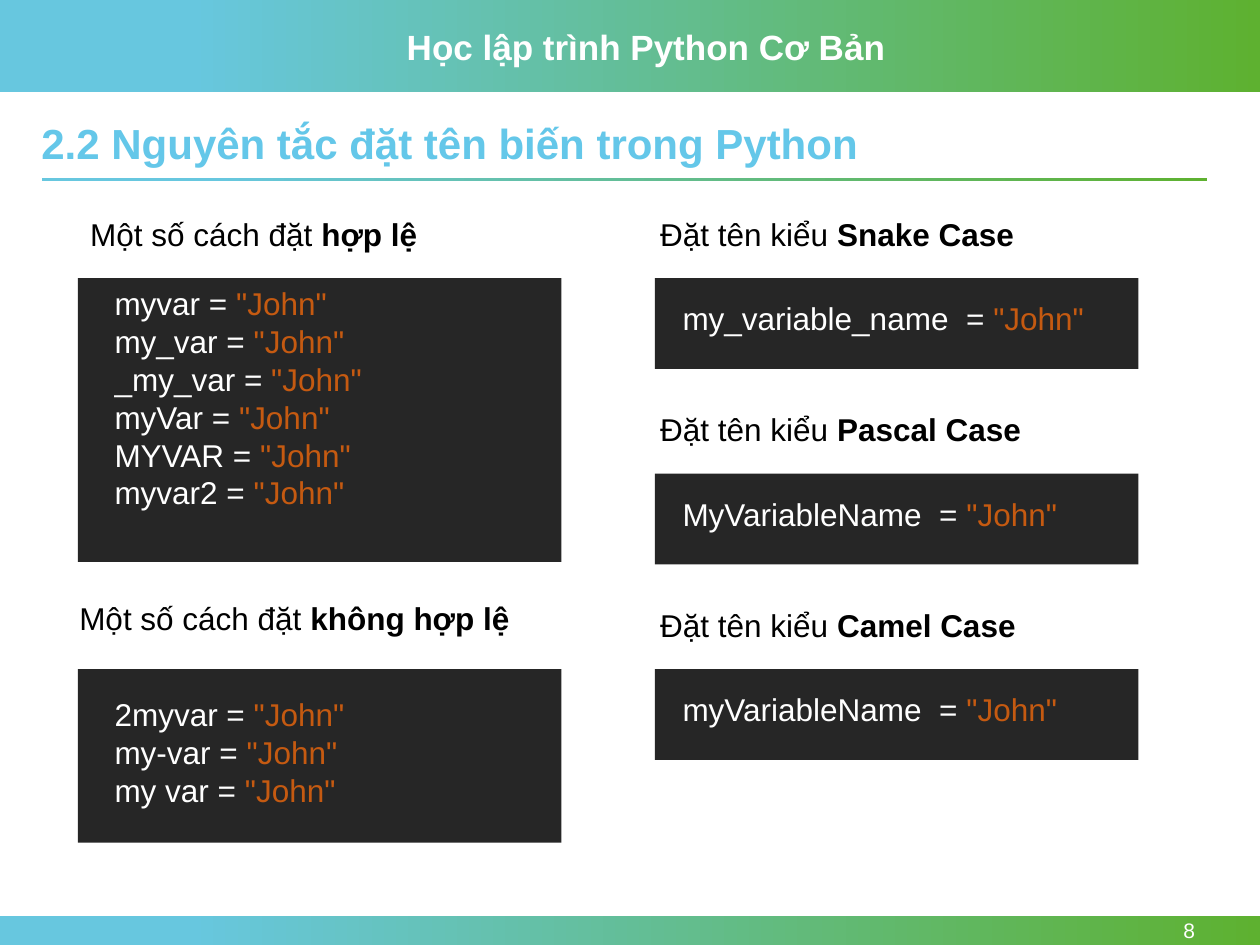
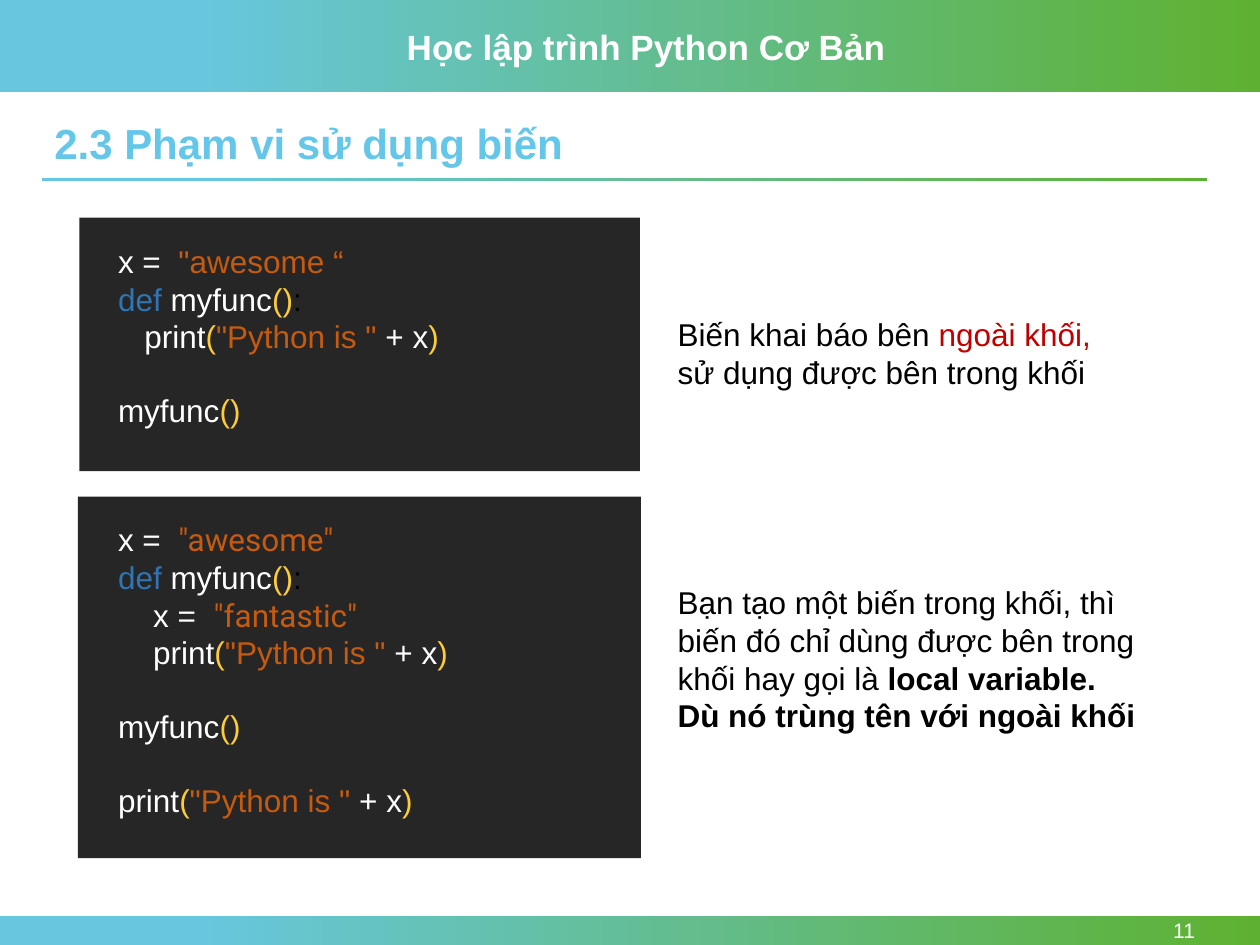
from typing import NamedTuple

from pptx import Presentation
from pptx.dml.color import RGBColor
from pptx.enum.shapes import MSO_SHAPE
from pptx.enum.text import MSO_ANCHOR, MSO_AUTO_SIZE, PP_ALIGN
from pptx.util import Cm, Pt

RECTANGLE = MSO_SHAPE.RECTANGLE
TOP, MIDDLE = MSO_ANCHOR.TOP, MSO_ANCHOR.MIDDLE
LEFT, RIGHT = PP_ALIGN.LEFT, PP_ALIGN.RIGHT
FIT_SHAPE, NO_FIT = MSO_AUTO_SIZE.SHAPE_TO_FIT_TEXT, MSO_AUTO_SIZE.NONE

COLORS = {
    "white": "FFFFFF", "black": "000000", "title": "64C7E9",
    "band_start": "67C7DF", "band_end": "5EB130", "code_box": "262626",
    "string": "C55A11", "keyword": "2E75B6", "bracket": "FECC36", "red": "C00000",
}
RUN_STYLES = {
    "string": {"color": "string"},
    "roboto": {"color": "string", "font": "Roboto"},
    "keyword": {"color": "keyword"},
    "bracket": {"color": "bracket"},
    "colon": {"color": "black"},
    "red": {"color": "red"},
    "bold": {"bold": True},
}
TITLE_ONLY = 5
SLIDE_WIDTH, SLIDE_HEIGHT = 25.4, 19.05
HEADER_HEIGHT, FOOTER_HEIGHT = 1.85, 0.58
CONTENT_LEFT, CONTENT_WIDTH = 0.84, 23.5
BLANK_LINE = 20.7  # points, one line of 18 pt text


class Line(NamedTuple):
    """Runs of one line (plain text or (text, style)), indent in cm, gap above in points."""
    runs: list
    indent: float = 0
    gap: float = 0


def rgb(name):
    return RGBColor.from_string(COLORS[name])


def add_run(paragraph, text, size=18, color="black", bold=False, font="Arial"):
    run = paragraph.add_run()
    run.text = text
    run.font.name = font
    run.font.size = Pt(size)
    run.font.bold = bold
    run.font.color.rgb = rgb(color)


def write(frame, lines, align=LEFT, anchor=TOP, fit=FIT_SHAPE, spacing=1.0, **run_format):
    """Fill a text frame, one paragraph for each line."""
    frame.word_wrap = True
    frame.auto_size = fit
    frame.vertical_anchor = anchor
    for index, line in enumerate(lines):
        paragraph = frame.paragraphs[0] if index == 0 else frame.add_paragraph()
        paragraph.alignment = align
        paragraph.line_spacing = spacing
        paragraph.space_before = Pt(line.gap)
        if line.indent:
            paragraph._p.get_or_add_pPr().set("marL", str(Cm(line.indent)))
        for run in line.runs:
            text, style = (run, {}) if isinstance(run, str) else (run[0], RUN_STYLES[run[1]])
            add_run(paragraph, text, **{**run_format, **style})


class CourseDeck:
    """Holds the presentation and the slide being built."""

    def __init__(self):
        self.presentation = Presentation()
        self.presentation.slide_width = Cm(SLIDE_WIDTH)
        self.presentation.slide_height = Cm(SLIDE_HEIGHT)
        self.slide = None

    def new_slide(self, title, number, title_left):
        layout = self.presentation.slide_layouts[TITLE_ONLY]
        self.slide = self.presentation.slides.add_slide(layout)
        footer_top = SLIDE_HEIGHT - FOOTER_HEIGHT
        self.band(0, 0, SLIDE_WIDTH, HEADER_HEIGHT)
        self.band(0, footer_top, SLIDE_WIDTH, FOOTER_HEIGHT)
        self.band(CONTENT_LEFT, 3.58, CONTENT_WIDTH, 0.08)
        self.text(7.95, 0.38, 10.16, 1.12, [Line(["Học lập trình Python Cơ Bản"])],
                  size=20, color="white", bold=True)
        self.text(22, footer_top, 2.34, FOOTER_HEIGHT, [Line([str(number)])],
                  size=12, color="white", align=RIGHT, anchor=MIDDLE, fit=NO_FIT)
        self.title(title, title_left)

    def title(self, text, left):
        placeholder = self.slide.shapes.title
        placeholder.left, placeholder.top = Cm(left), Cm(2.36)
        placeholder.width, placeholder.height = Cm(CONTENT_WIDTH), Cm(1.17)
        write(placeholder.text_frame, [Line([text], gap=10)], spacing=0.9,
              size=24, color="title", bold=True)

    def rectangle(self, left, top, width, height):
        shape = self.slide.shapes.add_shape(RECTANGLE, Cm(left), Cm(top), Cm(width), Cm(height))
        shape.shadow.inherit = False
        shape.line.fill.background()
        return shape

    def band(self, left, top, width, height):
        fill = self.rectangle(left, top, width, height).fill
        fill.gradient()
        fill.gradient_angle = 0
        stops = zip(fill.gradient_stops, (0.15, 1), ("band_start", "band_end"))
        for stop, position, color in stops:
            stop.position = position
            stop.color.rgb = rgb(color)

    def text(self, left, top, width, height, lines, **text_format):
        box = self.slide.shapes.add_textbox(Cm(left), Cm(top), Cm(width), Cm(height))
        write(box.text_frame, lines, **text_format)

    def code(self, box, text_left, text_top, lines):
        """Dark box given as (left, top, width, height) with code over it."""
        left, top, width, height = box
        shape = self.rectangle(*box)
        shape.fill.solid()
        shape.fill.fore_color.rgb = rgb("code_box")
        self.text(text_left, text_top, left + width - text_left,
                  top + height - text_top, lines, color="white")

    def heading(self, left, top, plain, strong):
        self.text(left, top, 11, 1.02, [Line([plain, (strong, "bold")])])


def assignments(*names):
    return [Line([f"{name} = ", ('"John"', "string")]) for name in names]


def call(name, **layout):
    return Line([name, ("()", "bracket")], **layout)


def define_myfunc():
    return Line([("def ", "keyword"), "myfunc", ("()", "bracket"), (":", "colon")])


def print_call(**layout):
    return Line(["print", ("(", "bracket"), ('"Python is " ', "string"), "+ x",
                 (")", "bracket")], **layout)


def build_naming_slide(deck):
    deck.new_slide("2.2 Nguyên tắc đặt tên biến trong Python", 8, title_left=0.58)
    box_left, box_width, first_box_top = 1.57, 9.75, 5.61

    deck.heading(box_left, 4.22, "Một số cách đặt ", "hợp lệ")
    deck.code((box_left, first_box_top, box_width, 5.72), 2.06, first_box_top,
              assignments("myvar", "my_var", "_my_var", "myVar", "MYVAR", "myvar2"))
    deck.heading(1.35, 11.96, "Một số cách đặt ", "không hợp lệ")
    deck.code((box_left, 13.49, box_width, 3.5), 2.06, 13.89,
              assignments("2myvar", "my-var", "my var"))

    naming_styles = [("Snake Case", "my_variable_name "),
                     ("Pascal Case", "MyVariableName "),
                     ("Camel Case", "myVariableName ")]
    for row, (style, variable) in enumerate(naming_styles):
        top = first_box_top + row * 3.94
        deck.heading(13.06, top - 1.4, "Đặt tên kiểu ", style)
        deck.code((13.2, top, box_width, 1.83), 13.51, top + 0.3, assignments(variable))


def build_scope_slide(deck):
    deck.new_slide("2.3 Phạm vi sử dụng biến", 11, title_left=CONTENT_LEFT)
    code_left, note_left, note_width = 2.13, 13.41, 10.44

    deck.code((1.6, 4.39, 11.3, 5.11), code_left, 4.75, [
        Line(["x =  ", ('"awesome “', "string")]),
        define_myfunc(),
        print_call(indent=0.53),
        call("myfunc", gap=BLANK_LINE),
    ])
    deck.text(note_left, 6.22, note_width, 1.8, [
        Line(["Biến khai báo bên ", ("ngoài khối,", "red")]),
        Line(["sử dụng được bên trong khối"]),
    ])

    deck.code((1.57, 10.01, 11.35, 7.29), code_left, 10.36, [
        Line(["x =  ", ('"awesome"', "roboto")]),
        define_myfunc(),
        Line(["x =  ", ('"fantastic"', "roboto")], indent=0.71),
        print_call(indent=0.71),
        call("myfunc", gap=BLANK_LINE),
        print_call(gap=BLANK_LINE),
    ])
    deck.text(note_left, 11.63, note_width, 3.33, [
        Line(["Bạn tạo một biến trong khối, thì biến đó chỉ dùng được bên trong khối "
              "hay gọi là ", ("local variable.", "bold")]),
        Line([("Dù nó trùng tên với ngoài khối", "bold")]),
    ])


def main():
    deck = CourseDeck()
    build_naming_slide(deck)
    build_scope_slide(deck)
    deck.presentation.save("out.pptx")


if __name__ == "__main__":
    main()
